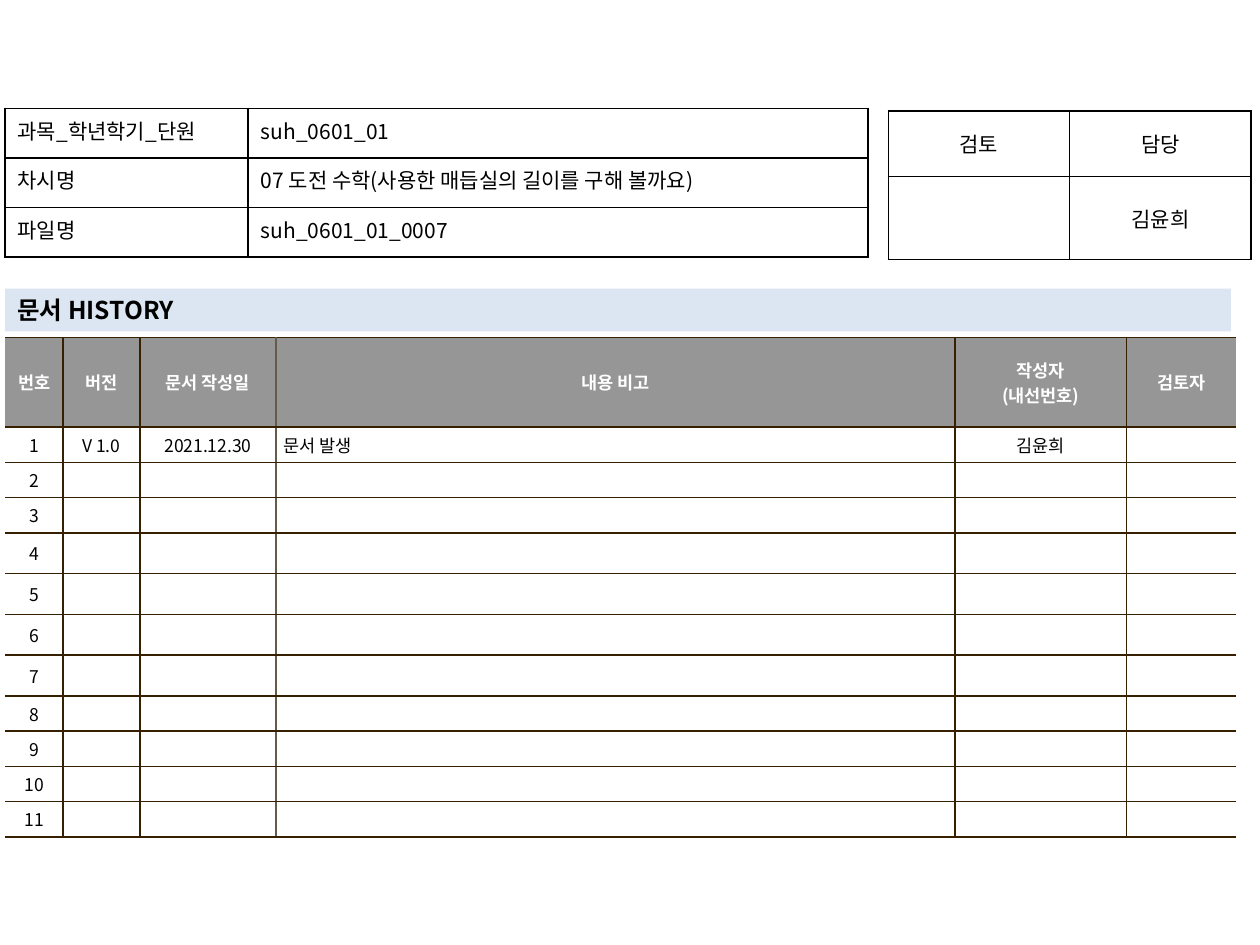
from dataclasses import dataclass

from lxml import etree
from pptx import Presentation
from pptx.dml.color import RGBColor
from pptx.enum.shapes import MSO_SHAPE
from pptx.enum.text import MSO_ANCHOR, PP_ALIGN
from pptx.oxml.ns import qn
from pptx.util import Inches, Pt

LEFT, CENTER, JUSTIFY = PP_ALIGN.LEFT, PP_ALIGN.CENTER, PP_ALIGN.JUSTIFY
TOP, MIDDLE = MSO_ANCHOR.TOP, MSO_ANCHOR.MIDDLE
RECTANGLE = MSO_SHAPE.RECTANGLE

FONT = "Noto Sans CJK KR"
WIDTH, HEIGHT = Inches(10), Inches(7.5)
COLORS = {
    "text": "000000",
    "header_text": "FFFFFF",
    "header": "969696",
    "body": "FFFFFF",
    "banner": "DCE6F2",
    "form_line": "000000",
    "history_line": "362000",
    "soft_line": "645B4C",
}


@dataclass
class Grid:
    """A table's place, in percent of the slide's width and height."""
    left: float
    top: float
    columns: list[float]
    rows: list[float]
    inset: tuple[float, float]  # inches: sides, top and bottom
    anchor: MSO_ANCHOR


def across(percent: float) -> int:
    return round(WIDTH * percent / 100)


def down(percent: float) -> int:
    return round(HEIGHT * percent / 100)


def rgb(name: str) -> RGBColor:
    return RGBColor.from_string(COLORS[name])


def write(frame, text: str, *, size: float, color: str = "text",
          bold: bool = False, align: PP_ALIGN = LEFT) -> None:
    """Write one paragraph per line; an empty text keeps only its size."""
    for index, line in enumerate(text.split("\n")):
        paragraph = frame.add_paragraph() if index else frame.paragraphs[0]
        paragraph.alignment = align
        if not line:
            etree.SubElement(paragraph._p, qn("a:endParaRPr"), sz=str(size * 100))
            continue
        run = paragraph.add_run()
        run.text = line
        run.font.size, run.font.bold = Pt(size), bold
        run.font.color.rgb = rgb(color)
        run.font.name = FONT
        etree.SubElement(run._r.get_or_add_rPr(), qn("a:ea"), typeface=FONT)


def set_borders(cell, sides: dict[str, str | None]) -> None:
    """Draw the cell's sides (L, R, T, B in that order); None hides a side."""
    properties = cell._tc.get_or_add_tcPr()
    for index, (side, color) in enumerate(sides.items()):
        line = etree.Element(qn(f"a:ln{side}"), w=str(Pt(1)))
        if color is None:
            etree.SubElement(line, qn("a:noFill"))
        else:
            fill = etree.SubElement(line, qn("a:solidFill"))
            etree.SubElement(fill, qn("a:srgbClr"), val=COLORS[color])
        properties.insert(index, line)


def add_grid(slide, grid: Grid):
    """Add a plain table without banding."""
    table = slide.shapes.add_table(
        len(grid.rows), len(grid.columns), across(grid.left), down(grid.top),
        across(sum(grid.columns)), down(sum(grid.rows))).table
    table.first_row = table.horz_banding = False
    for column, share in zip(table.columns, grid.columns):
        column.width = across(share)
    for row, share in zip(table.rows, grid.rows):
        row.height = down(share)
    side, end = map(Inches, grid.inset)
    for cell in table.iter_cells():
        cell.margin_left = cell.margin_right = side
        cell.margin_top = cell.margin_bottom = end
        cell.vertical_anchor = grid.anchor
    return table


def add_form(slide, grid: Grid, entries: list[list[str]],
             aligns: list[PP_ALIGN]) -> None:
    """Add an unfilled table with black lines all round."""
    table = add_grid(slide, grid)
    for r, entry in enumerate(entries):
        for c, text in enumerate(entry):
            cell = table.cell(r, c)
            cell.fill.background()
            set_borders(cell, dict.fromkeys("LRTB", "form_line"))
            write(cell.text_frame, text, size=12, align=aligns[c])


def add_history(slide, grid: Grid, entries: list[list[str]]) -> None:
    """Add the revision table, open at its left and right ends."""
    line = "history_line"
    uprights = [None, line, line, "soft_line", line, line, None]
    table = add_grid(slide, grid)
    for r, entry in enumerate(entries):
        header = r == 0
        for c, text in enumerate(entry):
            cell = table.cell(r, c)
            cell.fill.solid()
            cell.fill.fore_color.rgb = rgb("header" if header else "body")
            set_borders(cell, {"L": uprights[c], "R": uprights[c + 1],
                               "T": line, "B": line})
            write(cell.text_frame, text, size=10, bold=header,
                  color="header_text" if header else "text",
                  align=LEFT if c == 3 and not header else CENTER)


def add_banner(slide, text: str) -> None:
    banner = slide.shapes.add_shape(
        RECTANGLE, across(0.4), down(30.53), across(97.3), down(4.53))
    banner.shadow.inherit = False
    banner.fill.solid()
    banner.fill.fore_color.rgb = rgb("banner")
    banner.line.fill.background()
    banner.text_frame.word_wrap = True
    banner.text_frame.vertical_anchor = TOP
    write(banner.text_frame, text, size=14, bold=True)


def main() -> None:
    deck = Presentation()
    deck.slide_width, deck.slide_height = WIDTH, HEIGHT
    slide = deck.slides.add_slide(deck.slide_layouts[6])

    # Revision history
    low, high = 3.73, 4.31
    history = Grid(0.4, 35.73, [4.6, 6.1, 10.8, 53.9, 13.6, 8.7],
                   [9.47] + [low] * 3 + [high] * 4 + [low] * 4,
                   (0.06, 0.04), MIDDLE)
    add_history(slide, history, [
        ["번호", "버전", "문서 작성일", "내용 비고", "작성자\n(내선번호)", "검토자"],
        ["1", "V 1.0", "2021.12.30", "문서 발생", "김윤희", ""],
        *([str(number)] + [""] * 5 for number in range(2, 12)),
    ])

    # Sign-off
    sign_off = Grid(70.5, 11.73, [14.4] * 2, [6.93, 8.8], (0.1, 0.05), MIDDLE)
    add_form(slide, sign_off, [["검토", "담당"], ["", "김윤희"]], [CENTER, CENTER])

    # Section title
    add_banner(slide, "문서 HISTORY")

    # Lesson details
    lesson = Grid(0.4, 11.47, [19.3, 49.2], [5.25] * 3, (0.1, 0.05), TOP)
    add_form(slide, lesson, [
        ["과목_학년학기_단원", "suh_0601_01"],
        ["차시명", "07 도전 수학(사용한 매듭실의 길이를 구해 볼까요)"],
        ["파일명", "suh_0601_01_0007"],
    ], [JUSTIFY, LEFT])

    deck.save("out.pptx")


if __name__ == "__main__":
    main()
